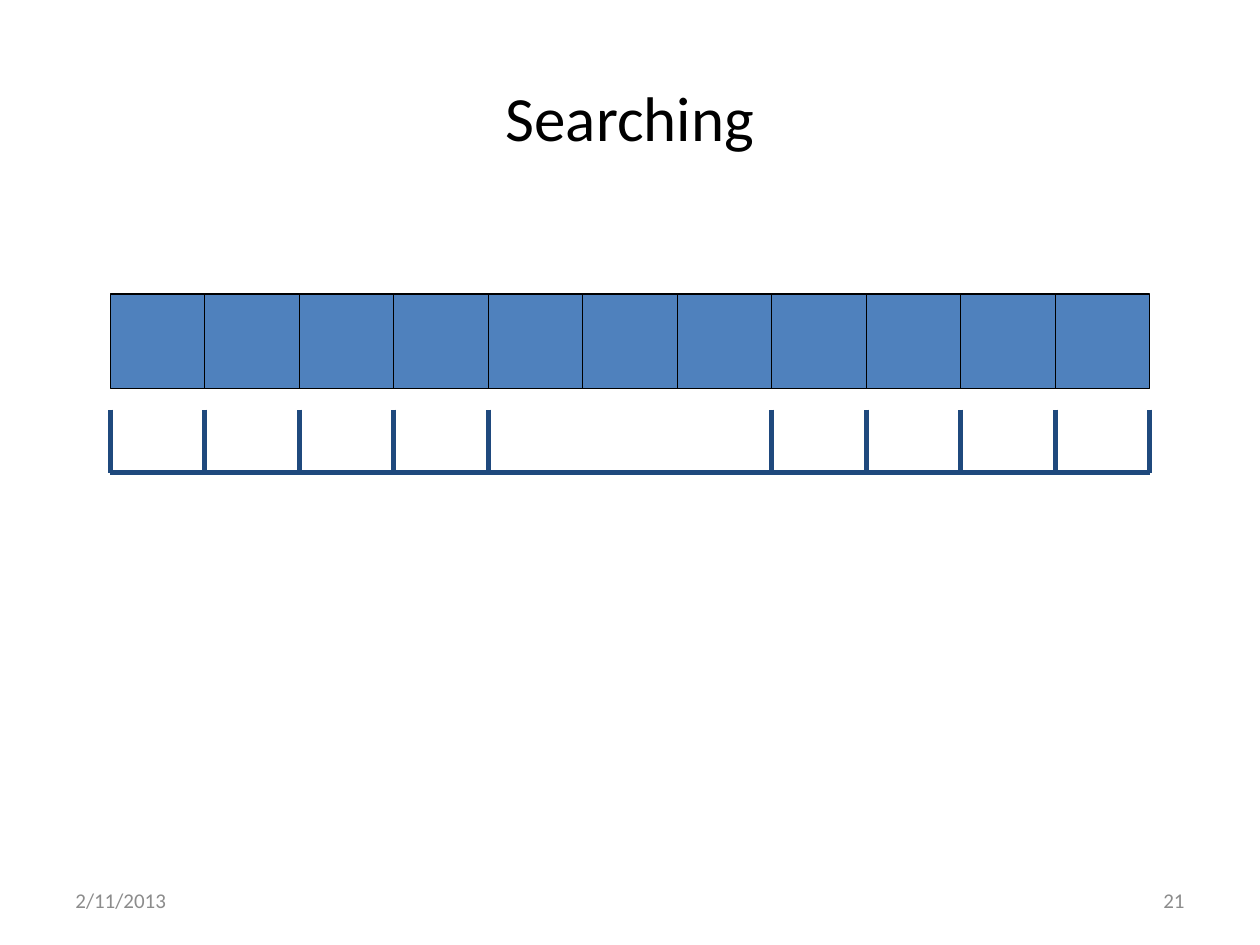
from pptx import Presentation
from pptx.dml.color import RGBColor
from pptx.enum.shapes import MSO_CONNECTOR, MSO_SHAPE
from pptx.enum.text import MSO_ANCHOR, PP_ALIGN
from pptx.oxml.ns import qn
from pptx.util import Pt
from lxml import etree

EMU_PER_PX = 9525  # 96 px to the inch
RECTANGLE = MSO_SHAPE.RECTANGLE
STRAIGHT = MSO_CONNECTOR.STRAIGHT
MIDDLE = MSO_ANCHOR.MIDDLE
LEFT, CENTER, RIGHT = PP_ALIGN.LEFT, PP_ALIGN.CENTER, PP_ALIGN.RIGHT
TITLE_ONLY = 5

CELL = 72
CELL_COUNT = 11
ARRAY_LEFT, ARRAY_TOP = 84, 224
WINDOW_CELLS = 7
WINDOW_TOP, WINDOW_BOTTOM = 312, 360


def px(length):
    return length * EMU_PER_PX


def color(hex_string):
    return RGBColor.from_string(hex_string)


class SlideBuilder:
    font = "Calibri"
    black = "000000"
    gray = "8C8C8C"
    cell_fill = "4F81BD"
    window_line = "1F497D"

    def __init__(self, slide):
        self.slide = slide

    def add_text(self, shape, text, size, text_color, alignment):
        frame = shape.text_frame
        frame.word_wrap = True
        frame.vertical_anchor = MIDDLE
        paragraph = frame.paragraphs[0]
        paragraph.alignment = alignment
        run = paragraph.add_run()
        run.text = text
        run.font.name = self.font
        run.font.size = Pt(size)
        run.font.color.rgb = color(text_color)

    def title(self, text, left, top, width, height):
        shape = self.slide.shapes.title
        shape.left, shape.top = px(left), px(top)
        shape.width, shape.height = px(width), px(height)
        self.add_text(shape, text, 36, self.black, CENTER)

    def footer(self, text, left, alignment):
        shape = self.slide.shapes.add_textbox(px(left), px(667), px(224), px(38))
        self.add_text(shape, text, 12, self.gray, alignment)

    def cell_row(self, left, top, size, count):
        group = self.slide.shapes.add_group_shape()
        for index in range(count):
            shape = group.shapes.add_shape(
                RECTANGLE, px(left + index * size), px(top), px(size), px(size))
            shape.shadow.inherit = False
            shape.fill.solid()
            shape.fill.fore_color.rgb = color(self.cell_fill)
            shape.line.color.rgb = color(self.black)
            shape.line.width = Pt(0.75)

    def line(self, shapes, x1, y1, x2, y2):
        connector = shapes.add_connector(STRAIGHT, px(x1), px(y1), px(x2), px(y2))
        connector.line.color.rgb = color(self.window_line)
        connector.line.width = Pt(3)
        properties = connector._element.find(qn("p:spPr"))
        etree.SubElement(properties, qn("a:effectLst"))

    def window(self, left, right, top, bottom):
        """Draw an open-topped bracket that marks one search window."""
        shapes = self.slide.shapes.add_group_shape().shapes
        self.line(shapes, left, top, left, bottom)
        self.line(shapes, right, top, right, bottom)
        self.line(shapes, left, bottom, right, bottom)


def main():
    presentation = Presentation()
    presentation.slide_width, presentation.slide_height = px(960), px(720)
    layout = presentation.slide_layouts[TITLE_ONLY]
    builder = SlideBuilder(presentation.slides.add_slide(layout))

    builder.title("Searching", 48, 29, 864, 120)
    builder.cell_row(ARRAY_LEFT, ARRAY_TOP, CELL, CELL_COUNT)
    for start in range(CELL_COUNT - WINDOW_CELLS + 1):
        left = ARRAY_LEFT + start * CELL
        builder.window(left, left + WINDOW_CELLS * CELL, WINDOW_TOP, WINDOW_BOTTOM)
    builder.footer("2/11/2013", 48, LEFT)
    builder.footer("21", 688, RIGHT)

    presentation.save("out.pptx")


if __name__ == "__main__":
    main()
